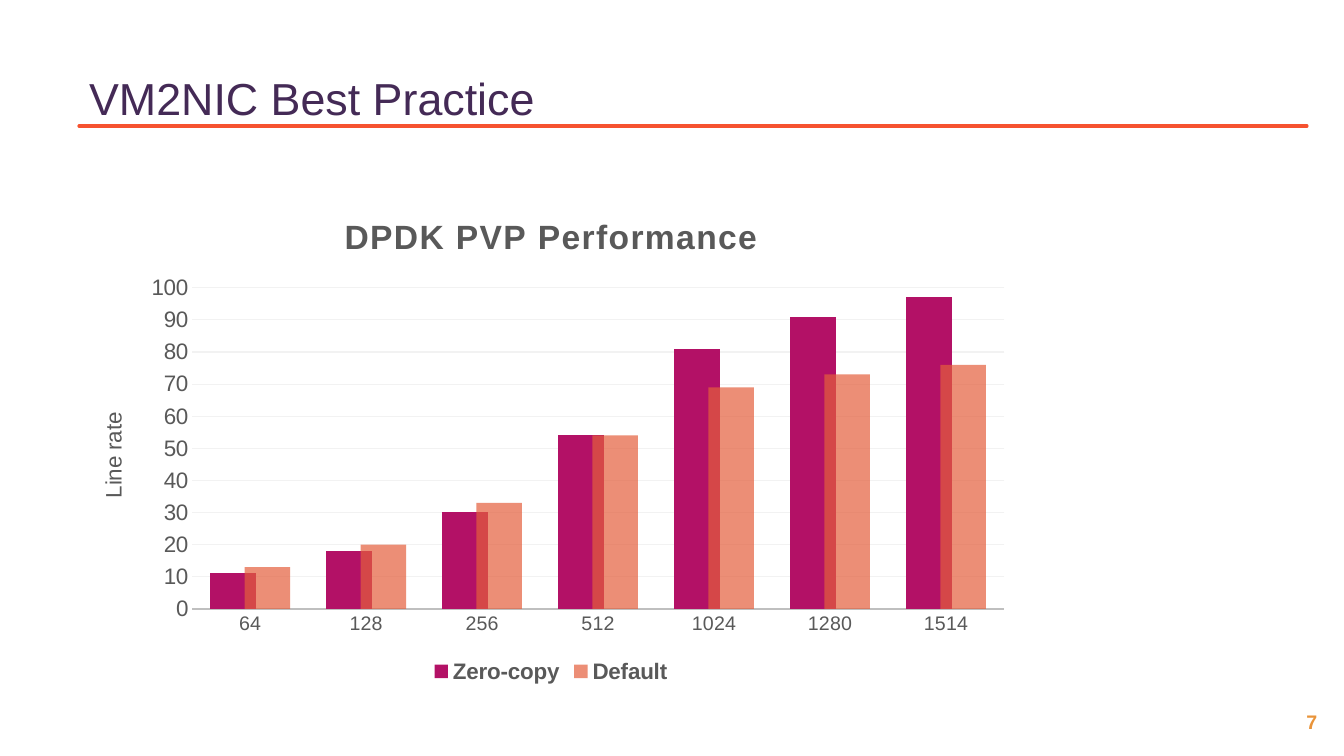
import pptx
import pptx.util
import pptx.dml.color
import pptx.chart.data
import pptx.enum.chart
import pptx.enum.shapes
import pptx.enum.text
import pptx.oxml
import pptx.oxml.ns

SCALE = 914400 / 100.8
FONT = "Arial"
GREY = "595959"
CATEGORIES = ["64", "128", "256", "512", "1024", "1280", "1514"]
SERIES = [
    ("Zero-copy", [11, 18, 30, 54, 81, 91, 97], "B31166", 100),
    ("Default", [13, 20, 33, 54, 69, 73, 76], "E45F3C", 70),
]


def px(n):
    """Turn a length in px into EMU."""
    return pptx.util.Emu(round(n * SCALE))


def rgb(value):
    """Turn a hex string into a colour."""
    return pptx.dml.color.RGBColor.from_string(value)


def xml(tag, inner="", **attrs):
    """Build an element from a prefixed tag and its attributes."""
    text = " ".join(f'{k}="{v}"' for k, v in attrs.items())
    ns = pptx.oxml.ns.nsdecls("a", "c")
    return pptx.oxml.parse_xml(f"<{tag} {ns} {text}>{inner}</{tag}>")


def style(font, size, color, bold=False):
    """Set the face, size, colour and weight of a font."""
    font.name = FONT
    font.size = pptx.util.Pt(size)
    font.bold = bold
    font.color.rgb = rgb(color)


def add_run(p, text, size, color, bold=False):
    """Add one formatted run to a paragraph."""
    r = p.add_run()
    r.text = text
    style(r.font, size, color, bold)
    return r


def add_header(slide, x, y, w, h):
    """Place the title and the rule below it."""
    title = slide.shapes.title
    title.left, title.top, title.width, title.height = px(x), px(y), px(871), px(h)
    tf = title.text_frame
    tf.word_wrap = True
    tf.vertical_anchor = pptx.enum.text.MSO_ANCHOR.MIDDLE
    p = tf.paragraphs[0]
    p.alignment = pptx.enum.text.PP_ALIGN.LEFT
    add_run(p, "VM2NIC Best Practice", 32, "442A56")
    rule_y = px(y + 67)
    rule = slide.shapes.add_connector(
        pptx.enum.shapes.MSO_CONNECTOR.STRAIGHT, px(x), rule_y, px(x + w), rule_y)
    rule.line.color.rgb = rgb("F65230")
    rule.line.width = pptx.util.Pt(2.25)
    rule.line._get_or_add_ln().set("cap", "rnd")
    rule._element.spPr.append(xml("a:effectLst"))


def add_page_number(slide, x, y, w, h):
    """Place the page number."""
    tf = slide.shapes.add_textbox(px(x), px(y), px(w), px(h)).text_frame
    tf.word_wrap = True
    p = tf.paragraphs[0]
    p.alignment = pptx.enum.text.PP_ALIGN.CENTER
    add_run(p, "7", 14, "E9943A", True)


def format_axes(chart):
    """Format both axes, the gridlines and the value axis title."""
    none = pptx.enum.chart.XL_TICK_MARK.NONE
    for axis, size in ((chart.category_axis, 14), (chart.value_axis, 16)):
        axis.major_tick_mark = axis.minor_tick_mark = none
        style(axis.tick_labels.font, size, GREY)
    line = chart.category_axis.format.line
    line.color.rgb = rgb("BFBFBF")
    line.width = pptx.util.Pt(1.25)
    values = chart.value_axis
    values.minimum_scale, values.maximum_scale, values.major_unit = 0, 100, 10
    values.format.line.fill.background()
    grid = values.major_gridlines.format.line
    grid.color.rgb = rgb("F2F2F2")
    grid.width = pptx.util.Pt(0.75)
    tf = values.axis_title.text_frame
    tf._txBody.bodyPr.set("rot", "-5400000")
    tf._txBody.bodyPr.set("vert", "horz")
    add_run(tf.paragraphs[0], "Line rate", 16, GREY)


def format_series(plot):
    """Set the bar spacing and the fill of each series."""
    plot.gap_width, plot.overlap = 80, 25
    plot.vary_by_categories = False
    for series, (_, _, color, opacity) in zip(plot.series, SERIES):
        fill = series.format.fill
        fill.solid()
        fill.fore_color.rgb = rgb(color)
        series.invert_if_negative = False
        if opacity < 100:
            clr = series._element.spPr.find(".//" + pptx.oxml.ns.qn("a:srgbClr"))
            clr.append(xml("a:alpha", val=opacity * 1000))


def place_plot(chart, x, y, w, h):
    """Fix the inner plot area as fractions of the chart."""
    area = chart._chartSpace.chart.plotArea
    for old in area.findall(pptx.oxml.ns.qn("c:layout")):
        area.remove(old)
    parts = [("layoutTarget", "inner"), ("xMode", "edge"), ("yMode", "edge"),
             ("x", x), ("y", y), ("w", w), ("h", h)]
    inner = "".join(f'<c:{tag} val="{val}"/>' for tag, val in parts)
    area.insert(0, xml("c:layout", f"<c:manualLayout>{inner}</c:manualLayout>"))


def add_performance_chart(slide, x, y, w, h):
    """Place the clustered column chart."""
    data = pptx.chart.data.CategoryChartData()
    data.categories = CATEGORIES
    for name, values, _, _ in SERIES:
        data.add_series(name, values)
    chart = slide.shapes.add_chart(
        pptx.enum.chart.XL_CHART_TYPE.COLUMN_CLUSTERED,
        px(x), px(y), px(w), px(h), data).chart
    style(chart.font, 11, "000000")
    chart.has_title = True
    r = add_run(chart.chart_title.text_frame.paragraphs[0],
                "DPDK PVP Performance", 24, GREY, True)
    r.font._element.set("spc", "100")
    chart.chart_title.include_in_layout = False
    chart.has_legend = True
    chart.legend.position = pptx.enum.chart.XL_LEGEND_POSITION.BOTTOM
    chart.legend.include_in_layout = False
    style(chart.legend.font, 16, GREY, True)
    format_axes(chart)
    format_series(chart.plots[0])
    place_plot(chart, 0.12, 0.19, 0.86, 0.65)


def main():
    """Build the slide and save it."""
    prs = pptx.Presentation()
    prs.slide_width, prs.slide_height = px(1344), px(756)
    slide = prs.slides.add_slide(prs.slide_layouts[5])
    add_page_number(slide, 1281, 705, 62, 34)
    add_header(slide, 79, 59, 1228, 78)
    add_performance_chart(slide, 79, 194, 944, 494)
    prs.save("out.pptx")


if __name__ == "__main__":
    main()
